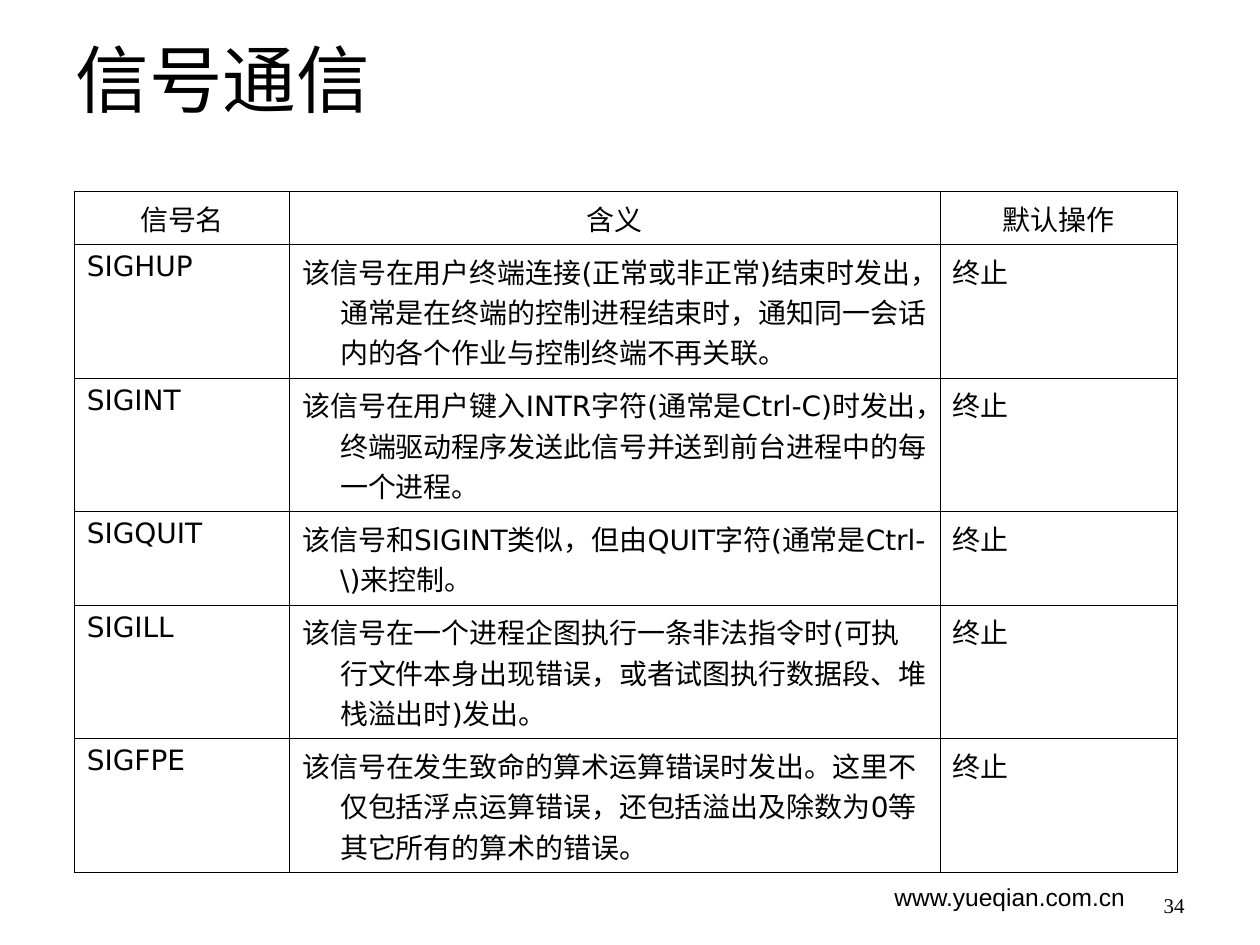
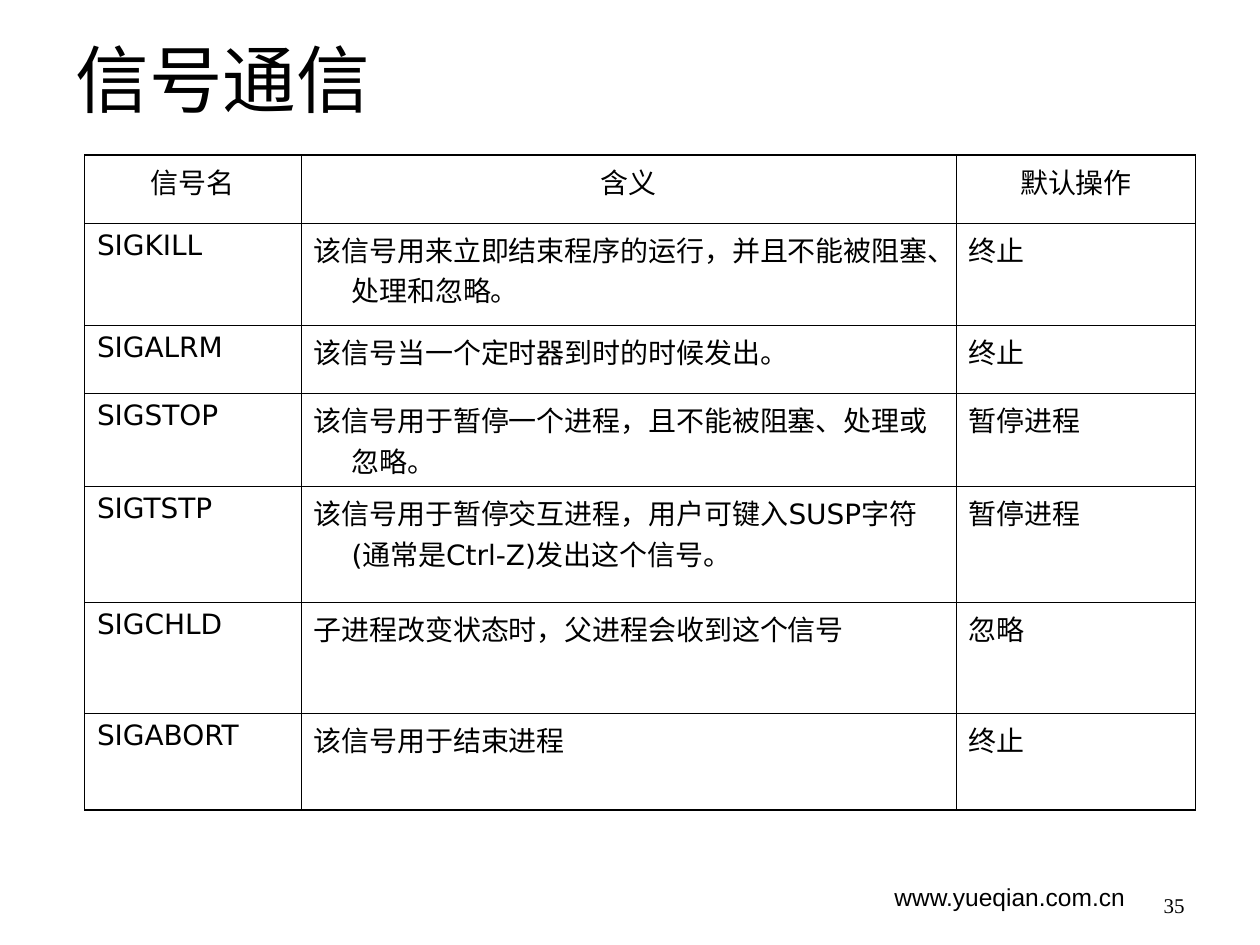
from lxml import etree
from pptx import Presentation
from pptx.dml.color import RGBColor
from pptx.enum.text import MSO_ANCHOR, MSO_AUTO_SIZE, PP_ALIGN
from pptx.oxml.ns import qn
from pptx.util import Inches, Pt

LEFT, CENTER, RIGHT = PP_ALIGN.LEFT, PP_ALIGN.CENTER, PP_ALIGN.RIGHT
TOP, BOTTOM = MSO_ANCHOR.TOP, MSO_ANCHOR.BOTTOM
NO_AUTOFIT = MSO_AUTO_SIZE.NONE

COLORS = {"text": "000000", "border": "000000", "paper": "FFFFFF"}
FORMATS = {
    "title": {"name": "Arial", "size": Pt(42), "bold": False},
    "site": {"name": "Arial", "size": Pt(14)},
    "number": {"name": "Times New Roman", "size": Pt(12)},
    "cell": {"name": "DejaVu Sans", "size": Pt(16), "bold": False},
}
SIDE_LINE, INNER_LINE, EDGE_LINE = 0.34, 0.45, 0.96
HANGING = Inches(0.3)
TITLE_ONLY = 5

TITLE = "信号通信"
SITE = "www.yueqian.com.cn"
HEADER = ("信号名", "含义", "默认操作")

# Signal tables, one per slide
PAGES = [
    {
        "number": "34",
        "at": (0.59, 1.52),
        "columns": (1.71, 5.16, 1.88),
        "heights": (0.4, 0.95, 0.95, 0.68, 0.95, 0.95),
        "signals": [
            ("SIGHUP", "该信号在用户终端连接(正常或非正常)结束时发出，通常是在终端的控制进程结束时，"
             "通知同一会话内的各个作业与控制终端不再关联。", "终止"),
            ("SIGINT", "该信号在用户键入INTR字符(通常是Ctrl-C)时发出，终端驱动程序发送此信号并"
             "送到前台进程中的每一个进程。", "终止"),
            ("SIGQUIT", "该信号和SIGINT类似，但由QUIT字符(通常是Ctrl-\\)来控制。", "终止"),
            ("SIGILL", "该信号在一个进程企图执行一条非法指令时(可执行文件本身出现错误，"
             "或者试图执行数据段、堆栈溢出时)发出。", "终止"),
            ("SIGFPE", "该信号在发生致命的算术运算错误时发出。这里不仅包括浮点运算错误，"
             "还包括溢出及除数为0等其它所有的算术的错误。", "终止"),
        ],
    },
    {
        "number": "35",
        "at": (0.67, 1.23),
        "columns": (1.72, 5.2, 1.9),
        "heights": (0.54, 0.81, 0.54, 0.63, 0.92, 0.88, 0.77),
        "signals": [
            ("SIGKILL", "该信号用来立即结束程序的运行，并且不能被阻塞、处理和忽略。", "终止"),
            ("SIGALRM", "该信号当一个定时器到时的时候发出。", "终止"),
            ("SIGSTOP", "该信号用于暂停一个进程，且不能被阻塞、处理或忽略。", "暂停进程"),
            ("SIGTSTP", "该信号用于暂停交互进程，用户可键入SUSP字符(通常是Ctrl-Z)发出这个信号。",
             "暂停进程"),
            ("SIGCHLD", "子进程改变状态时，父进程会收到这个信号", "忽略"),
            ("SIGABORT", "该信号用于结束进程", "终止"),
        ],
    },
]


class Deck:
    def __init__(self):
        self.prs = Presentation()
        self.prs.slide_width, self.prs.slide_height = Inches(10), Inches(7.5)
        self.slide = None

    def new_slide(self):
        self.slide = self.prs.slides.add_slide(self.prs.slide_layouts[TITLE_ONLY])
        paper = self.slide.background.fill
        paper.solid()
        paper.fore_color.rgb = RGBColor.from_string(COLORS["paper"])

    def put_text(self, frame, text, style, align=LEFT):
        paragraph = frame.paragraphs[0]
        paragraph.alignment = align
        run = paragraph.add_run()
        run.text = text
        for key, value in FORMATS[style].items():
            setattr(run.font, key, value)
        run.font.color.rgb = RGBColor.from_string(COLORS["text"])
        return paragraph

    def title(self, text):
        heading = self.slide.shapes.title
        box = {"left": 0.5, "top": 0.3, "width": 9, "height": 1.25}
        for key, value in box.items():
            setattr(heading, key, Inches(value))
        frame = heading.text_frame
        frame.auto_size = NO_AUTOFIT
        frame.vertical_anchor = TOP
        self.put_text(frame, text, "title").line_spacing = 0.9

    def text(self, at, text, style, align=LEFT, anchor=TOP):
        box = self.slide.shapes.add_textbox(*map(Inches, at))
        box.text_frame.word_wrap = True
        box.text_frame.vertical_anchor = anchor
        self.put_text(box.text_frame, text, style, align)

    def border(self, cell, widths):
        properties = cell._tc.get_or_add_tcPr()
        for index, (side, width) in enumerate(widths.items()):
            line = etree.Element(qn(f"a:ln{side}"), w=str(Pt(width)))
            fill = etree.SubElement(line, qn("a:solidFill"))
            etree.SubElement(fill, qn("a:srgbClr"), val=COLORS["border"])
            properties.insert(index, line)

    def table(self, at, columns, heights, rows):
        size = (sum(columns), sum(heights))
        table = self.slide.shapes.add_table(
            len(rows), len(columns), *map(Inches, at + size)).table
        table.first_row = table.horz_banding = False
        for column, width in zip(table.columns, columns):
            column.width = Inches(width)
        for row, height in zip(table.rows, heights):
            row.height = Inches(height)
        last_row, last_column = len(rows) - 1, len(columns) - 1
        for r, texts in enumerate(rows):
            for c, text in enumerate(texts):
                cell = table.cell(r, c)
                cell.fill.background()
                cell.vertical_anchor = TOP
                paragraph = self.put_text(cell.text_frame, text, "cell",
                                          LEFT if r else CENTER)
                indents = paragraph._p.get_or_add_pPr()
                indents.set("marL", str(HANGING))
                indents.set("indent", str(-HANGING))
                self.border(cell, {
                    "L": INNER_LINE if c else SIDE_LINE,
                    "R": SIDE_LINE if c == last_column else INNER_LINE,
                    "T": INNER_LINE if r else EDGE_LINE,
                    "B": EDGE_LINE if r == last_row else INNER_LINE,
                })

    def footer(self, number):
        self.text((7, 6.95, 2.5, 0.4), SITE, "site")
        self.text((7.17, 6.83, 2.33, 0.5), number, "number", RIGHT, BOTTOM)


def main():
    deck = Deck()
    for page in PAGES:
        deck.new_slide()
        deck.title(TITLE)
        deck.table(page["at"], page["columns"], page["heights"],
                   [HEADER, *page["signals"]])
        deck.footer(page["number"])
    deck.prs.save("out.pptx")


if __name__ == "__main__":
    main()
